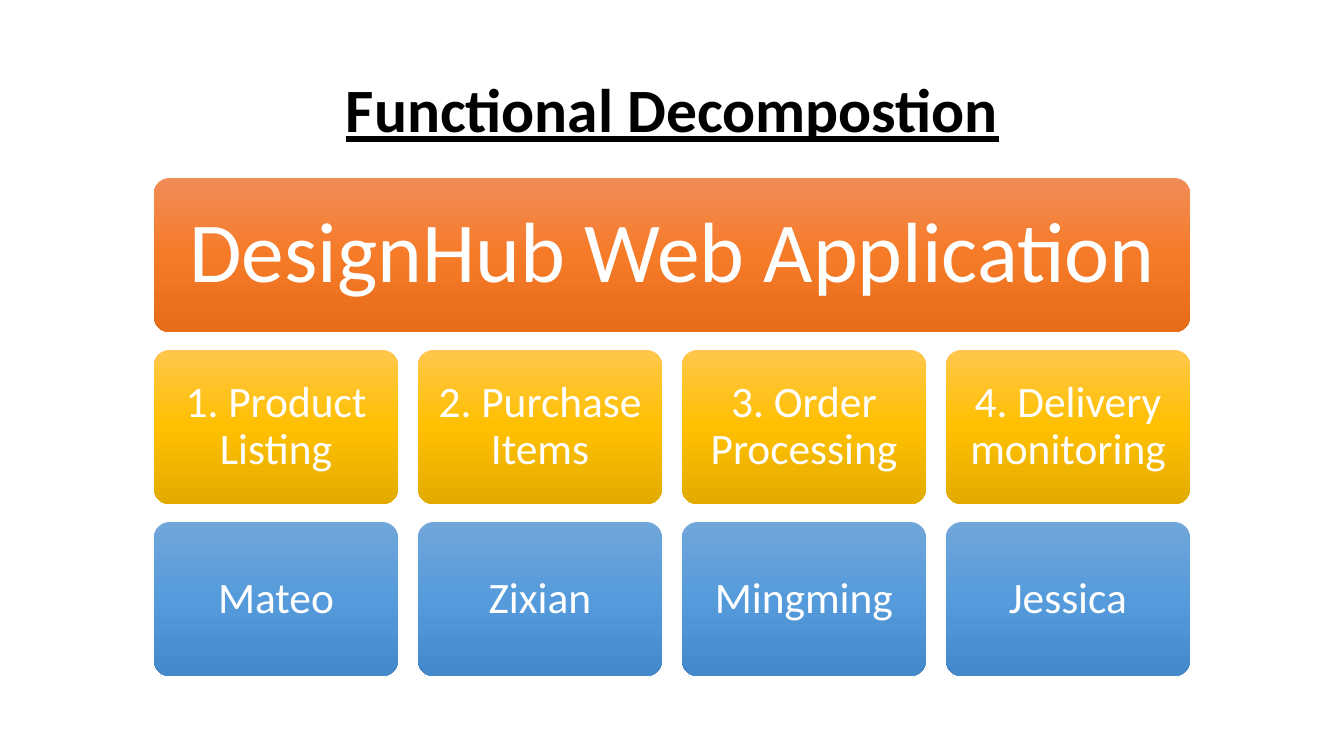
from dataclasses import dataclass

from lxml import etree
from pptx import Presentation
from pptx.dml.color import RGBColor
from pptx.enum.shapes import MSO_SHAPE
from pptx.enum.text import MSO_ANCHOR, PP_ALIGN
from pptx.oxml.ns import qn
from pptx.util import Emu, Pt

ROUNDED = MSO_SHAPE.ROUNDED_RECTANGLE
MIDDLE = MSO_ANCHOR.MIDDLE
CENTER = PP_ALIGN.CENTER

FONT = "Calibri"
COLORS = {"title": "000000", "label": "FFFFFF"}
GRADIENTS = {
    "orange": ("F18C57", "F67B28", "E56C19"),
    "gold": ("FFC64B", "FFC000", "E3AB00"),
    "blue": ("71A6DB", "559BDB", "448ACA"),
}
LEFT, TOP = 154, 178
BOX_W, BOX_H = 244, 154
COL_STEP, ROW_STEP = 264, 172


@dataclass
class Box:
    text: str
    row: int
    col: int
    gradient: str
    span: int = 1
    size: int = 31
    inset: int = 13


FUNCTIONS = [
    ("1. Product Listing", "Mateo"),
    ("2. Purchase Items", "Zixian"),
    ("3. Order Processing", "Mingming"),
    ("4. Delivery monitoring", "Jessica"),
]


def px(n: int) -> Emu:
    return Emu(round(n * 914400 / 100.8))


def write_text(shape, text: str, size: int, color: str, strong: bool = False) -> None:
    tf = shape.text_frame
    tf.text = text
    tf.word_wrap = True
    tf.vertical_anchor = MIDDLE
    p = tf.paragraphs[0]
    p.alignment = CENTER
    p.line_spacing = 0.9
    font = p.runs[0].font
    font.name = FONT
    font.size = Pt(size)
    font.bold = strong
    font.underline = strong
    font.color.rgb = RGBColor.from_string(COLORS[color])


def fill_gradient(shape, colors: tuple[str, ...]) -> None:
    shape.fill.gradient()
    shape.fill.gradient_angle = 270
    stops = shape._element.spPr.find(qn("a:gradFill")).find(qn("a:gsLst"))
    for stop in list(stops):
        stops.remove(stop)
    for i, color in enumerate(colors):
        stop = etree.SubElement(stops, qn("a:gs"), pos=str(i * 50000))
        etree.SubElement(stop, qn("a:srgbClr"), val=color)


def draw_box(slide, box: Box) -> None:
    width = BOX_W + (box.span - 1) * COL_STEP
    s = slide.shapes.add_shape(
        ROUNDED,
        px(LEFT + box.col * COL_STEP),
        px(TOP + box.row * ROW_STEP),
        px(width),
        px(BOX_H),
    )
    s.adjustments[0] = 0.1
    s.shadow.inherit = False
    s.line.fill.background()
    fill_gradient(s, GRADIENTS[box.gradient])
    write_text(s, box.text, box.size, "label")
    tf = s.text_frame
    tf.margin_left = tf.margin_right = px(box.inset)
    tf.margin_top = tf.margin_bottom = px(box.inset)


def main() -> None:
    prs = Presentation()
    prs.slide_width, prs.slide_height = px(1344), px(756)
    slide = prs.slides.add_slide(prs.slide_layouts[5])

    title = slide.shapes.title
    title.left, title.top = px(93), px(40)
    title.width, title.height = px(1159), px(146)
    write_text(title, "Functional Decompostion", 44, "title", strong=True)

    boxes = [Box("DesignHub Web Application", 0, 0, "orange", len(FUNCTIONS), 61, 25)]
    for col, (function, owner) in enumerate(FUNCTIONS):
        boxes.append(Box(function, 1, col, "gold"))
        boxes.append(Box(owner, 2, col, "blue"))
    for box in boxes:
        draw_box(slide, box)

    prs.save("out.pptx")


if __name__ == "__main__":
    main()
